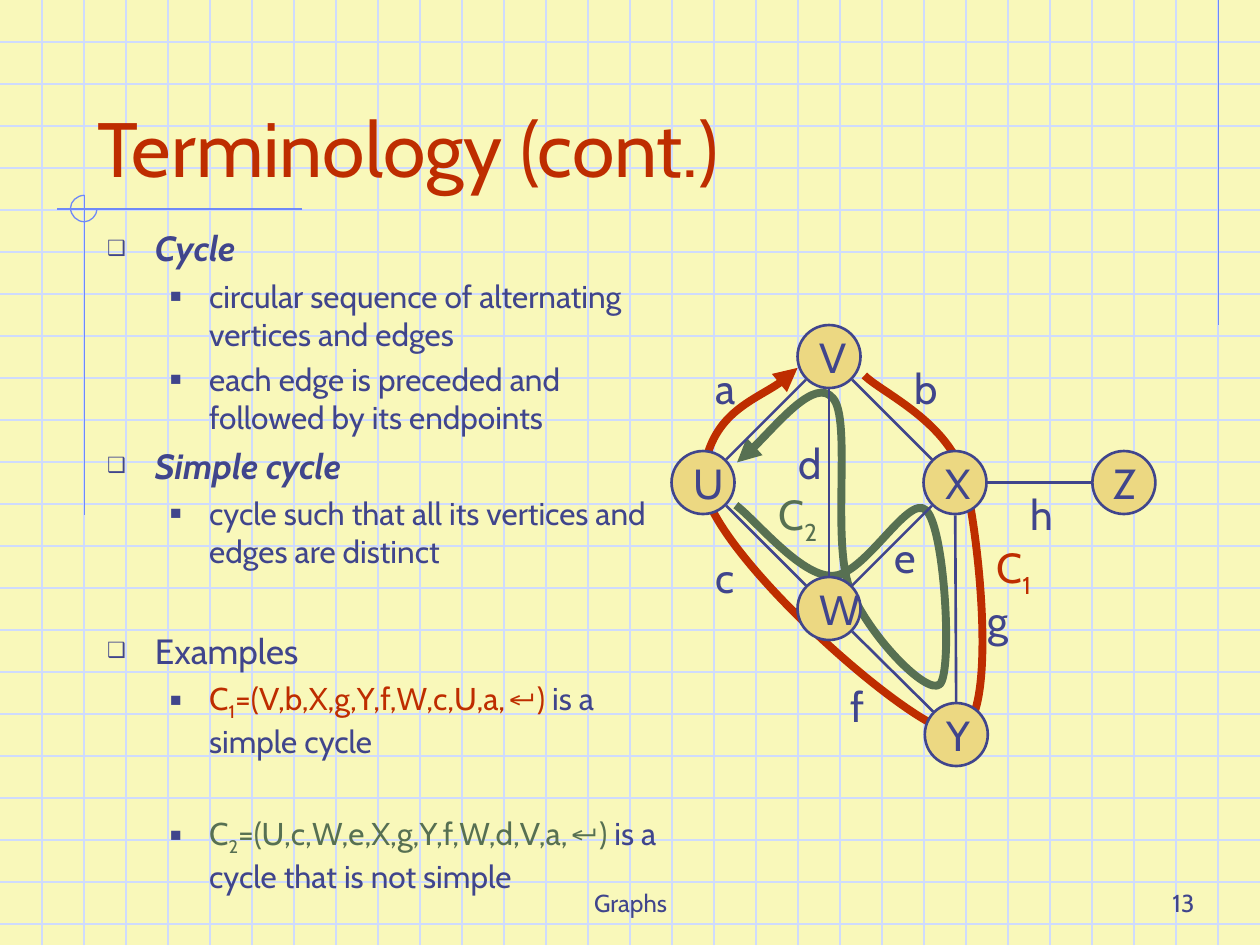
import math
from lxml import etree
from pptx import Presentation, util as u
from pptx.dml.color import RGBColor
from pptx.enum import shapes as s, text as t
from pptx.oxml.ns import qn

COLORS = {"paper": "F9F8BA", "grid": "CFDBFD", "rule": "6F89F7", "ink": "40458C",
          "red": "BE2D00", "green": "577052", "node": "ECD882"}
FONT = "Cabin"
WIDTH, HEIGHT, GRID = 10, 7.5, 1 / 3

# Body: level, space before in points, runs of (text, colour, style)
BODY = [
    (0, 0, [("Cycle", "ink", "term")]),
    (1, 4.5, [("circular sequence of alternating vertices and edges", "ink", "")]),
    (1, 4.5, [("each edge is preceded and followed by its endpoints", "ink", "")]),
    (0, 5, [("Simple cycle", "ink", "term")]),
    (1, 4.5, [("cycle such that all its vertices and edges are distinct", "ink", "")]),
    (0, 33.7, [("Examples", "ink", "")]),
    (1, 4.5, [("C", "red", ""), ("1", "red", "sub"), ("=(V,b,X,g,Y,f,W,c,U,a,", "red", ""),
              ("↵", "red", "symbol"), (")", "red", ""), (" is a simple cycle", "ink", "")]),
    (1, 31, [("C", "green", ""), ("2", "green", "sub"),
             ("=(U,c,W,e,X,g,Y,f,W,d,V,a,", "green", ""), ("↵", "green", "symbol"),
             (")", "green", ""), (" is a cycle that is not simple", "ink", "")]),
]
# Level: margin, hanging indent, bullet, text size
LEVELS = [(0.38, -0.38, "❑", 20), (0.81, -0.31, "■", 18)]

# Graph: node centres, edges, and label places (left, top, width)
NODES = {"X": (7.58, 3.83), "U": (5.58, 3.83), "V": (6.58, 2.83), "W": (6.58, 4.83),
         "Z": (8.92, 3.83), "Y": (7.59, 5.83)}
EDGES = ["VU", "WU", "WX", "XZ", "VX", "VW", "WY", "XY"]
DIAMETER, EDGE_TRIM = 0.5, 0.26
EDGE_LABELS = {"a": (5.58, 2.83, 0.38), "c": (5.58, 4.33, 0.36), "b": (7.16, 2.83, 0.4),
               "e": (7, 4.17, 0.39), "d": (6.24, 3.42, 0.4), "f": (6.65, 5.35, 0.31),
               "g": (7.74, 4.67, 0.4), "h": (8.08, 3.83, 0.4)}
CYCLE_LABELS = [("1", "red", (7.81, 4.25)), ("2", "green", (6.08, 3.83))]

# Bezier curves: a start point, then three points for each segment
CYCLE_1 = [(6.86, 2.98), (7, 3.12), (7.54, 3.35), (7.66, 3.82), (7.78, 4.3), (7.93, 5.82),
           (7.58, 5.81), (7.24, 5.81), (5.54, 4.3), (5.58, 3.79), (5.63, 3.28),
           (6.18, 3.1), (6.33, 2.92)]
CYCLE_2 = [(5.85, 3.67), (5.98, 3.58), (6.47, 2.99), (6.61, 3.16), (6.76, 3.32),
           (6.6, 4.28), (6.74, 4.66), (6.88, 5.03), (7.36, 5.53), (7.46, 5.43),
           (7.56, 5.33), (7.5, 4.19), (7.35, 4.05), (7.21, 3.91), (6.86, 4.58),
           (6.6, 4.57), (6.35, 4.57), (6, 4.13), (5.84, 4.01)]
CORNER_ARC = [(0.67, 1.55), (0.61, 1.55), (0.56, 1.6), (0.56, 1.65), (0.56, 1.71),
              (0.61, 1.76), (0.67, 1.76), (0.72, 1.76), (0.77, 1.71), (0.77, 1.66)]


def rgb(name):
    return RGBColor.from_string(COLORS[name])


def add_line(slide, start, end, color, points=0.75):
    line = slide.shapes.add_connector(s.MSO_CONNECTOR.STRAIGHT,
                                      *(u.Inches(value) for value in (*start, *end)))
    line.line.color.rgb = rgb(color)
    line.line.width = u.Pt(points)
    etree.SubElement(line.element.spPr, qn("a:effectLst"))
    return line


def add_curve(slide, controls, color, points, arrow=None):
    """Draw joined cubic curves; arrow is headEnd, tailEnd or None."""
    controls = [(u.Inches(x), u.Inches(y)) for x, y in controls]
    builder = slide.shapes.build_freeform(*controls[0])
    builder.add_line_segments(controls[1:], close=False)
    curve = builder.convert_to_shape()
    # Turn each three straight segments into one cubic segment
    outline = next(curve.element.iter(qn("a:path")))
    segments = outline.findall(qn("a:lnTo"))
    for first in range(0, len(segments), 3):
        cubic = etree.SubElement(outline, qn("a:cubicBezTo"))
        for segment in segments[first:first + 3]:
            cubic.append(segment[0])
            outline.remove(segment)
    curve.shadow.inherit = False
    curve.fill.background()
    curve.line.color.rgb = rgb(color)
    curve.line.width = u.Pt(points)
    if arrow:
        etree.SubElement(curve.line._get_or_add_ln(), qn("a:" + arrow), type="triangle")
    return curve


def add_runs(paragraph, runs, size):
    for words, color, style in runs:
        run = paragraph.add_run()
        run.text = words
        run.font.size = u.Pt(size)
        run.font.name = "Arial" if style == "symbol" else FONT
        run.font.color.rgb = rgb(color)
        run.font.bold = run.font.italic = style == "term"
        if style == "sub":
            run._r.get_or_add_rPr().set("baseline", "-25000")


def fill_text(shape, runs, size, anchor, align=t.PP_ALIGN.LEFT, wrap=False):
    frame = shape.text_frame
    frame.word_wrap = wrap
    frame.auto_size = t.MSO_AUTO_SIZE.NONE
    frame.vertical_anchor = anchor
    frame.paragraphs[0].alignment = align
    add_runs(frame.paragraphs[0], runs, size)


def add_text(slide, box, runs, size, anchor=t.MSO_ANCHOR.TOP, align=t.PP_ALIGN.LEFT, wrap=False):
    shape = slide.shapes.add_textbox(*(u.Inches(value) for value in box))
    fill_text(shape, runs, size, anchor, align, wrap)


def place(shape, *box):
    shape.left, shape.top, shape.width, shape.height = (u.Inches(value) for value in box)


def add_bullet(paragraph, level):
    margin, indent, character, _ = LEVELS[level]
    properties = paragraph._p.get_or_add_pPr()
    properties.set("marL", str(u.Inches(margin)))
    properties.set("indent", str(u.Inches(indent)))
    color = etree.SubElement(properties, qn("a:buClr"))
    etree.SubElement(color, qn("a:srgbClr"), val=COLORS["ink"])
    etree.SubElement(properties, qn("a:buSzPct"), val="60000")
    etree.SubElement(properties, qn("a:buFont"), typeface="Arial")
    etree.SubElement(properties, qn("a:buChar"), char=character)


def draw_paper(slide):
    """Colour the page and put the squared paper on the slide master."""
    slide.background.fill.solid()
    slide.background.fill.fore_color.rgb = rgb("paper")
    rows = [row * GRID for row in range(1, math.ceil(HEIGHT / GRID))]
    columns = [column * GRID for column in range(1, round(WIDTH / GRID))]
    parts = [add_line(slide, (0, y), (WIDTH, y), "grid") for y in rows]
    parts += [add_line(slide, (x, 0), (x, HEIGHT), "grid") for x in columns]
    parts += [add_line(slide, start, end, "rule") for start, end in
              [((9.67, 0), (9.67, 2.58)), ((2.4, 1.66), (0.45, 1.66)),
               ((0.67, 1.55), (0.67, 4.09))]]
    parts.append(add_curve(slide, CORNER_ARC, "rule", 0.75))
    master_tree = slide.slide_layout.slide_master.shapes.element
    for number, part in enumerate(parts, 100):
        part.element.xpath("./*/p:cNvPr")[0].set("id", str(number))
        master_tree.append(part.element)


def write_text(slide):
    title, body = slide.placeholders
    place(title, 0.67, 0.33, 8.5, 1.25)
    fill_text(title, [("Terminology (cont.)", "red", "")], 44, t.MSO_ANCHOR.BOTTOM, wrap=True)
    place(body, 0.75, 1.75, 4.58, 5.5)
    frame = body.text_frame
    frame.auto_size = t.MSO_AUTO_SIZE.NONE
    for index, (level, space, runs) in enumerate(BODY):
        paragraph = frame.add_paragraph() if index else frame.paragraphs[0]
        paragraph.level = level
        paragraph.space_before = u.Pt(space)
        add_bullet(paragraph, level)
        add_runs(paragraph, runs, LEVELS[level][3])
    # Footer and slide number
    for box, words, align in [((3.42, 6.83, 3.17, 0.5), "Graphs", t.PP_ALIGN.CENTER),
                              ((7.5, 6.83, 2.08, 0.5), "13", t.PP_ALIGN.RIGHT)]:
        add_text(slide, box, [(words, "ink", "")], 14, t.MSO_ANCHOR.BOTTOM, align, True)


def draw_graph(slide):
    add_curve(slide, CYCLE_1, "red", 4.5, "tailEnd")
    add_curve(slide, CYCLE_2, "green", 4.5, "headEnd")
    # Edges stop just outside the node circles
    for start, end in EDGES:
        (x1, y1), (x2, y2) = NODES[start], NODES[end]
        trim = EDGE_TRIM / math.hypot(x2 - x1, y2 - y1)
        dx, dy = (x2 - x1) * trim, (y2 - y1) * trim
        add_line(slide, (x1 + dx, y1 + dy), (x2 - dx, y2 - dy), "ink", 1.5)
    for name, (x, y) in NODES.items():
        node = slide.shapes.add_shape(
            s.MSO_SHAPE.OVAL, u.Inches(x - DIAMETER / 2), u.Inches(y - DIAMETER / 2),
            u.Inches(DIAMETER), u.Inches(DIAMETER))
        node.shadow.inherit = False
        node.fill.solid()
        node.fill.fore_color.rgb = rgb("node")
        node.line.color.rgb = rgb("ink")
        node.line.width = u.Pt(1.5)
        fill_text(node, [(name, "ink", "")], 24, t.MSO_ANCHOR.MIDDLE)
    for name, (left, top, width) in EDGE_LABELS.items():
        add_text(slide, (left, top, width, 0.5), [(name, "ink", "")], 24)
    for number, color, corner in CYCLE_LABELS:
        add_text(slide, (*corner, 0.52, 0.56), [("C", color, ""), (number, color, "sub")], 24)


def main():
    presentation = Presentation()
    presentation.slide_width, presentation.slide_height = u.Inches(WIDTH), u.Inches(HEIGHT)
    slide = presentation.slides.add_slide(presentation.slide_layouts[1])
    draw_paper(slide)
    write_text(slide)
    draw_graph(slide)
    presentation.save("out.pptx")


if __name__ == "__main__":
    main()
